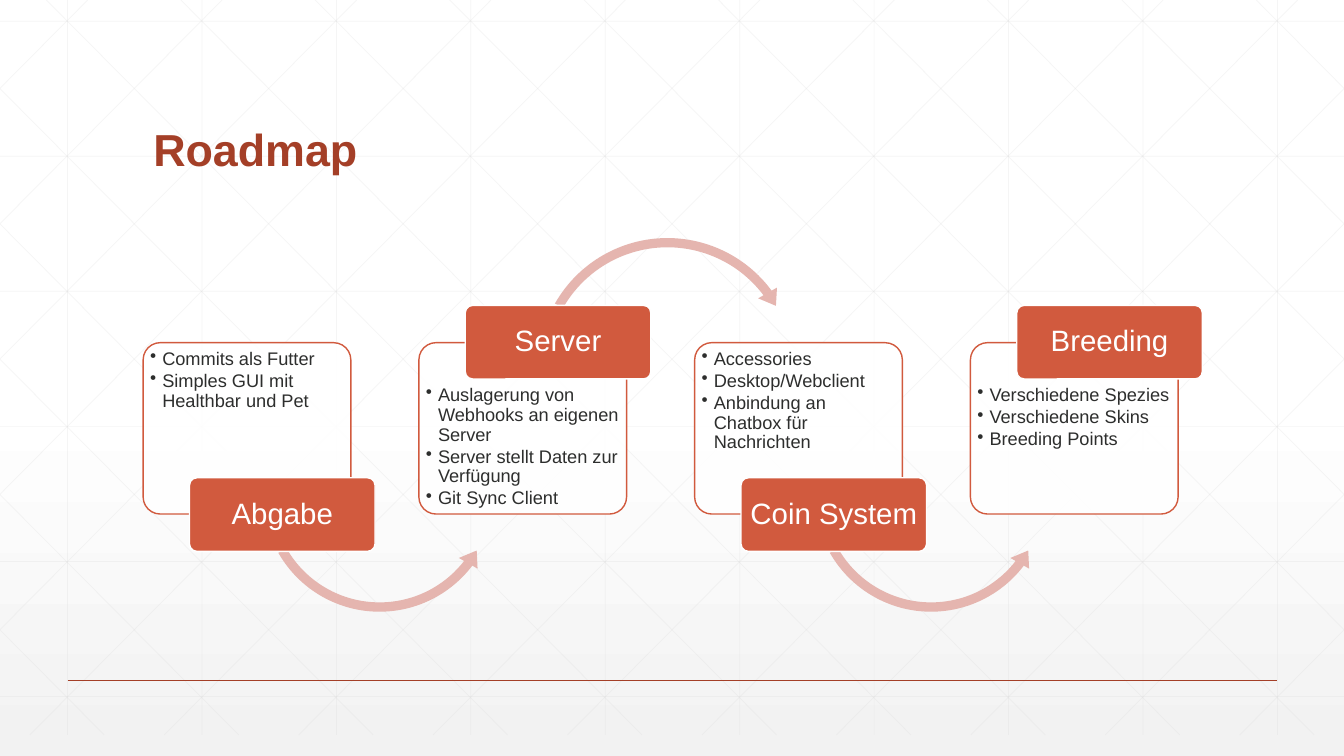
from pptx import Presentation
from pptx.dml.color import RGBColor
from pptx.enum.shapes import MSO_CONNECTOR, MSO_SHAPE
from pptx.enum.text import MSO_ANCHOR, MSO_AUTO_SIZE, PP_ALIGN
from pptx.oxml.ns import qn
from pptx.util import Inches, Pt
from lxml.etree import SubElement

WIDTH, HEIGHT = 13.33, 7.5
RUST, DARK_RUST, PINK = "D15A3E", "A43F27", "E5B5AF"
WHITE, TEXT, GRID = "FFFFFF", "2D2E2D", "D9D9D9"

STEPS = [
    ("Abgabe", ["Commits als Futter", "Simples GUI mit Healthbar und Pet"]),
    ("Server", ["Auslagerung von Webhooks an eigenen Server",
                "Server stellt Daten zur Verfügung", "Git Sync Client"]),
    ("Coin System", ["Accessories", "Desktop/Webclient",
                     "Anbindung an Chatbox für Nachrichten"]),
    ("Breeding", ["Verschiedene Spezies", "Verschiedene Skins",
                  "Breeding Points"]),
]
STEP_LEFT, STEP_PITCH = 1.42, 2.735


def rgb(color):
    return RGBColor.from_string(color)


def set_alpha(fill_parent, percent):
    clr = fill_parent.find(qn("a:solidFill"))[0]
    SubElement(clr, qn("a:alpha")).set("val", str(percent * 1000))


def add_line(s, x1, y1, x2, y2, color, width, alpha=None):
    line = s.shapes.add_connector(MSO_CONNECTOR.STRAIGHT, Inches(x1), Inches(y1),
                                  Inches(x2), Inches(y2))
    line.line.color.rgb = rgb(color)
    line.line.width = Pt(width)
    sp_pr = line.element.spPr
    if alpha:
        set_alpha(sp_pr.find(qn("a:ln")), alpha)
    SubElement(sp_pr, qn("a:effectLst"))


def add_shape(s, kind, x, y, w, h, adjustments, fill, line=None):
    sp = s.shapes.add_shape(kind, Inches(x), Inches(y), Inches(w), Inches(h))
    for i, value in enumerate(adjustments):
        sp.adjustments[i] = value
    sp.shadow.inherit = False
    sp.fill.solid()
    sp.fill.fore_color.rgb = rgb(fill)
    if line:
        sp.line.color.rgb = rgb(line)
        sp.line.width = Pt(1)
    else:
        sp.line.fill.background()
    return sp


def set_frame(tf, anchor, margin, top):
    tf.word_wrap = True
    tf.auto_size = MSO_AUTO_SIZE.NONE
    tf.vertical_anchor = anchor
    tf.margin_left = tf.margin_right = tf.margin_bottom = Inches(margin)
    tf.margin_top = Inches(top)


def add_text(p, text, size, color, align, bold=False):
    p.alignment = align
    p.line_spacing = 0.9
    r = p.add_run()
    r.text = text
    r.font.name = "Arial"
    r.font.size = Pt(size)
    r.font.bold = bold
    r.font.color.rgb = rgb(color)


def add_bullet(p):
    p.space_after = Pt(1.7)
    p_pr = p._p.get_or_add_pPr()
    p_pr.set("marL", str(Inches(0.12)))
    p_pr.set("indent", str(-Inches(0.12)))
    SubElement(p_pr, qn("a:buChar")).set("char", "•")


def add_background(s):
    fill = s.background.fill
    fill.gradient()
    fill.gradient_angle = 270
    for stop, position, color in zip(fill.gradient_stops, (0.53, 1), (WHITE, "F2F2F2")):
        stop.position = position
        stop.color.rgb = rgb(color)


def add_grid(s):
    pitch, bottom, run = 4 / 3, 7.29, 7.24
    for i in range(10):
        x = 0.67 + i * pitch
        add_line(s, x, 0, x, bottom, GRID, 0.5, 25)
    for i in range(6):
        y = 0.21 + i * 1.34
        add_line(s, 0, y, WIDTH, y, GRID, 0.5, 25)
    # Diagonals clipped at the slide edges, each with its mirror image
    for i in range(-5, 10):
        x = 0.46 + i * pitch
        start, end = max(0, -x / run), min(1, (WIDTH - x) / run)
        x1, x2 = x + run * start, x + run * end
        y1, y2 = bottom * start, bottom * end
        add_line(s, x1, y1, x2, y2, GRID, 0.5, 25)
        add_line(s, WIDTH - x1, y1, WIDTH - x2, y2, GRID, 0.5, 25)


def add_title(s, text):
    title = s.shapes.title
    title.left, title.top = Inches(1.42), Inches(0.55)
    title.width, title.height = Inches(10.5), Inches(1.25)
    tf = title.text_frame
    set_frame(tf, MSO_ANCHOR.BOTTOM, 0.05, 0.05)
    tf.margin_left = tf.margin_right = Inches(0.1)
    add_text(tf.paragraphs[0], text, 32, DARK_RUST, PP_ALIGN.LEFT, bold=True)
    s.shapes.element.append(title.element)  # in front of the grid


def add_box(s, x, items, label_on_top):
    box = add_shape(s, MSO_SHAPE.ROUNDED_RECTANGLE, x, 3.4, 2.06, 1.7, [0.1], WHITE, RUST)
    set_alpha(box.element.spPr, 90)
    tf = box.text_frame
    set_frame(tf, MSO_ANCHOR.TOP, 0.02, 0.38 if label_on_top else 0.02)
    for i, item in enumerate(items):
        p = tf.add_paragraph() if i else tf.paragraphs[0]
        add_text(p, item, 13, TEXT, PP_ALIGN.LEFT)
        add_bullet(p)


def add_arrow(s, x, over):
    if over:
        add_shape(s, MSO_SHAPE.CIRCULAR_ARROW, x + 1.12, 2.3, 2.69, 2.69,
                  [0.034, 4.225, 194.019, 125.755, 0.04], PINK)
    else:
        add_shape(s, MSO_SHAPE.LEFT_CIRCULAR_ARROW, x + 1.13, 3.7, 2.43, 2.43,
                  [0.038, 4.726, 22.481, 90.245, 0.044], PINK)


def add_label(s, x, text, on_top):
    label = add_shape(s, MSO_SHAPE.ROUNDED_RECTANGLE, x + 0.46, 3.03 if on_top else 4.74,
                      1.84, 0.73, [0.1], RUST, WHITE)
    set_frame(label.text_frame, MSO_ANCHOR.MIDDLE, 0.03, 0.03)
    add_text(label.text_frame.paragraphs[0], text, 21, WHITE, PP_ALIGN.CENTER)


def main():
    prs = Presentation()
    prs.slide_width, prs.slide_height = Inches(WIDTH), Inches(HEIGHT)
    s = prs.slides.add_slide(prs.slide_layouts[5])

    # Backdrop and title
    add_background(s)
    add_grid(s)
    add_line(s, 0.67, 6.75, 12.67, 6.75, DARK_RUST, 1)
    add_title(s, "Roadmap")

    # Steps, with labels alternating between bottom and top
    for i, (name, items) in enumerate(STEPS):
        x = STEP_LEFT + i * STEP_PITCH
        on_top = i % 2 == 1
        add_box(s, x, items, on_top)
        if i < len(STEPS) - 1:
            add_arrow(s, x, on_top)
        add_label(s, x, name, on_top)

    prs.save("out.pptx")


if __name__ == "__main__":
    main()
